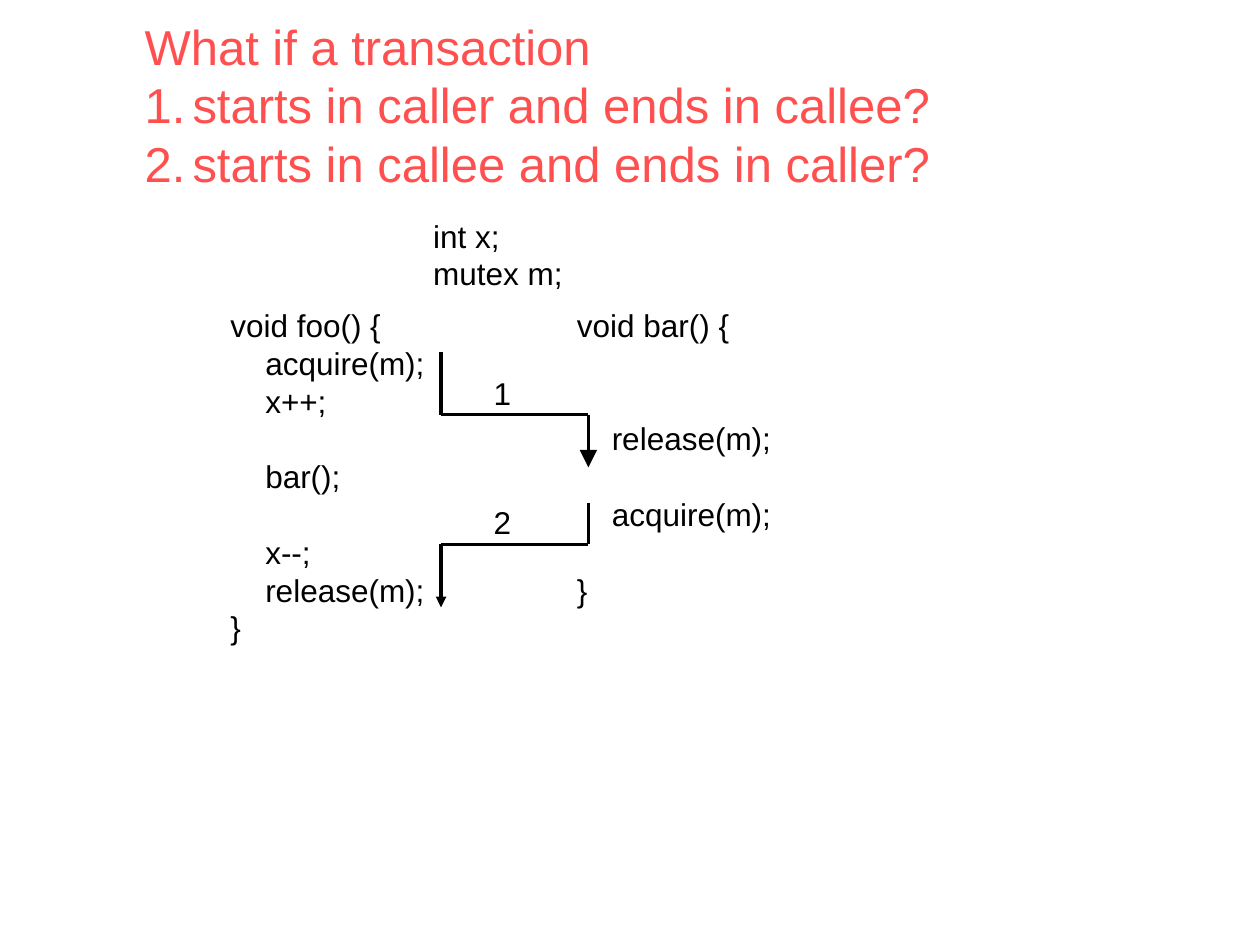
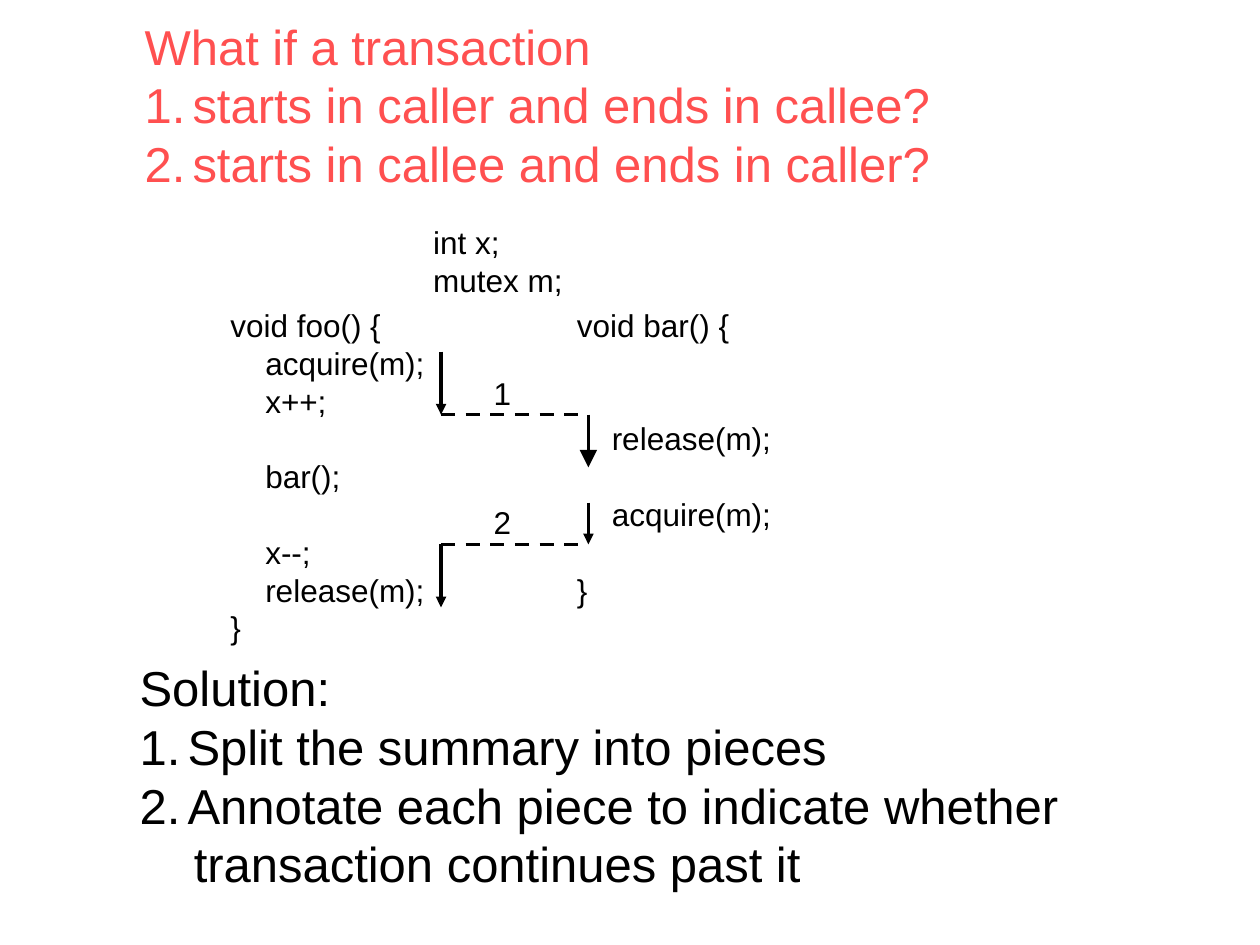
from dataclasses import dataclass

import pptx
import pptx.dml.color
import pptx.enum.dml
import pptx.enum.shapes
import pptx.enum.text
import pptx.oxml.ns
import pptx.presentation
import pptx.slide
import pptx.text.text
import pptx.util
from lxml import etree
from pptx.util import Inches

COLORS = {"title": "FF5050", "ink": "000000"}
FONT = "Arial"
HEADING_SIZE = 28
CODE_SIZE = 18
LINE_PITCH = 1.2
HANGING = 0.38
CONTINUED = 0.43
CALLER_X = 3.5
CALLEE_X = 4.67

QUESTION = [
    "What if a transaction",
    "starts in caller and ends in callee?",
    "starts in callee and ends in caller?",
]
SOLUTION = [
    "Solution:",
    "Split the summary into pieces",
    "Annotate each piece to indicate whether",
    "transaction continues past it",
]
GLOBALS = ["int x;", "mutex m;"]
FOO = """void foo() {
    acquire(m);
    x++;

    bar();

    x--;
    release(m);
}""".split("\n")
BAR = """void bar() {


    release(m);

    acquire(m);

}""".split("\n")


@dataclass(frozen=True)
class Box:
    left: float
    top: float
    width: float
    height: float


@dataclass(frozen=True)
class Transaction:
    """A path that runs down one function, across, and down the other."""
    label: str
    label_top: float
    start_x: float
    start_y: float
    cross_y: float
    end_x: float
    end_y: float
    end_head: str


TRANSACTIONS = [
    Transaction("2", 3.94, CALLEE_X, 3.99, 4.32, CALLER_X, 4.82, "med"),
    Transaction("1", 2.92, CALLER_X, 2.79, 3.29, CALLEE_X, 3.71, "lg"),
]


def add_child(parent: etree._Element, tag: str, **attributes: str) -> None:
    etree.SubElement(parent, pptx.oxml.ns.qn(tag), attributes)


def indent(paragraph: pptx.text.text._Paragraph, margin: float, numbered: bool) -> None:
    properties = paragraph._p.get_or_add_pPr()
    properties.set("marL", str(Inches(margin)))
    if numbered:
        properties.set("indent", str(-Inches(margin)))
        add_child(properties, "a:buFont", typeface=FONT)
        add_child(properties, "a:buAutoNum", type="arabicPeriod")


def add_text(slide: pptx.slide.Slide, box: Box, lines: list[str], *,
             size: int = CODE_SIZE, color: str = "ink", wrap: bool = False,
             numbered: range = range(0), continued: range = range(0)) -> None:
    """Write one paragraph per line; an empty line becomes space before the next."""
    frame = slide.shapes.add_textbox(
        Inches(box.left), Inches(box.top), Inches(box.width), Inches(box.height)).text_frame
    frame.word_wrap = wrap
    frame.auto_size = pptx.enum.text.MSO_AUTO_SIZE.SHAPE_TO_FIT_TEXT
    pitch = size * LINE_PITCH
    skipped = 0
    for number, line in enumerate(lines):
        if not line:
            skipped += 1
            continue
        paragraph = frame.paragraphs[0] if number == 0 else frame.add_paragraph()
        if number in numbered:
            indent(paragraph, HANGING, True)
        elif number in continued:
            indent(paragraph, CONTINUED, False)
        paragraph.line_spacing = pptx.util.Pt(pitch)
        if skipped:
            paragraph.space_before = pptx.util.Pt(skipped * pitch)
            skipped = 0
        run = paragraph.add_run()
        run.text = line
        run.font.name = FONT
        run.font.size = pptx.util.Pt(size)
        run.font.color.rgb = pptx.dml.color.RGBColor.from_string(COLORS[color])


def add_line(slide: pptx.slide.Slide, x1: float, y1: float, x2: float, y2: float, *,
             head: str = "", dashed: bool = False) -> None:
    connector = slide.shapes.add_connector(
        pptx.enum.shapes.MSO_CONNECTOR.STRAIGHT,
        Inches(x1), Inches(y1), Inches(x2), Inches(y2))
    connector.line.width = pptx.util.Pt(2)
    connector.line.color.rgb = pptx.dml.color.RGBColor.from_string(COLORS["ink"])
    if dashed:
        connector.line.dash_style = pptx.enum.dml.MSO_LINE.DASH
    if head:
        add_child(connector.line._get_or_add_ln(), "a:tailEnd",
                  type="triangle", w=head, len=head)
    add_child(connector._element.spPr, "a:effectLst")


def add_transaction(slide: pptx.slide.Slide, path: Transaction, split: bool) -> None:
    """Draw the path, in two separate pieces with a dashed link when split."""
    add_line(slide, path.start_x, path.start_y, path.start_x, path.cross_y,
             head="med" if split else "")
    add_line(slide, path.end_x, path.cross_y, path.end_x, path.end_y, head=path.end_head)
    add_line(slide, CALLER_X, path.cross_y, CALLEE_X, path.cross_y, dashed=split)
    add_text(slide, Box(3.82, path.label_top, 0.34, 0.4), [path.label])


def add_example(deck: pptx.presentation.Presentation, globals_top: float,
                split: bool) -> pptx.slide.Slide:
    slide = deck.slides.add_slide(deck.slide_layouts[6])
    add_text(slide, Box(1.05, 0.08, 6.7, 1.5), QUESTION,
             size=HEADING_SIZE, color="title", wrap=True, numbered=range(1, 3))
    add_text(slide, Box(1.73, 2.38, 1.74, 2.8), FOO)
    add_text(slide, Box(4.48, 2.38, 1.74, 2.5), BAR)
    add_text(slide, Box(3.34, globals_top, 1.23, 0.7), GLOBALS)
    for path in TRANSACTIONS:
        add_transaction(slide, path, split)
    return slide


def main() -> None:
    deck = pptx.Presentation()
    deck.slide_width = Inches(10)
    deck.slide_height = Inches(7.5)
    add_example(deck, 1.67, split=False)
    solved = add_example(deck, 1.72, split=True)
    add_text(solved, Box(1.01, 5.17, 7.59, 1.97), SOLUTION, size=HEADING_SIZE,
             wrap=True, numbered=range(1, 3), continued=range(3, 4))
    deck.save("out.pptx")


if __name__ == "__main__":
    main()
